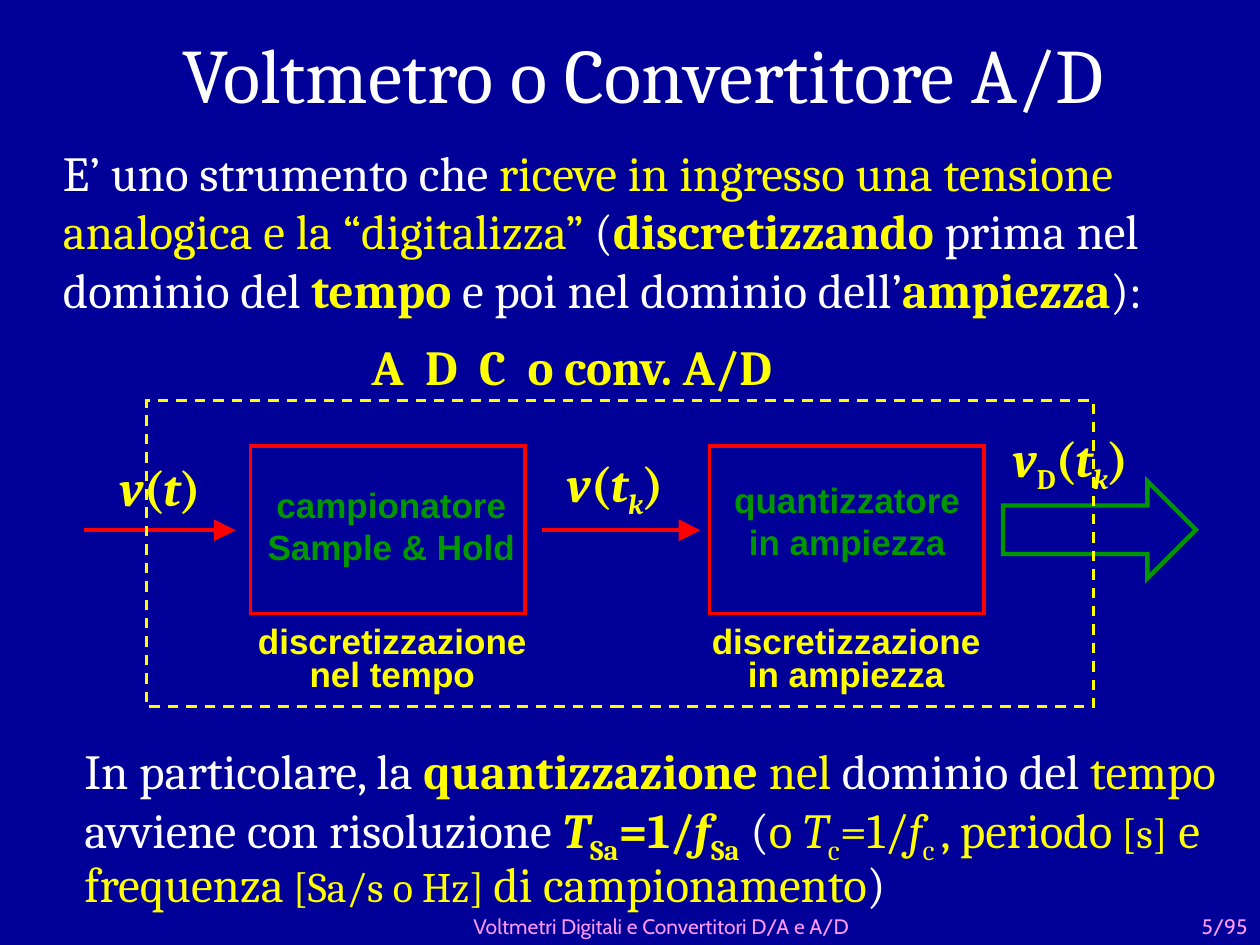
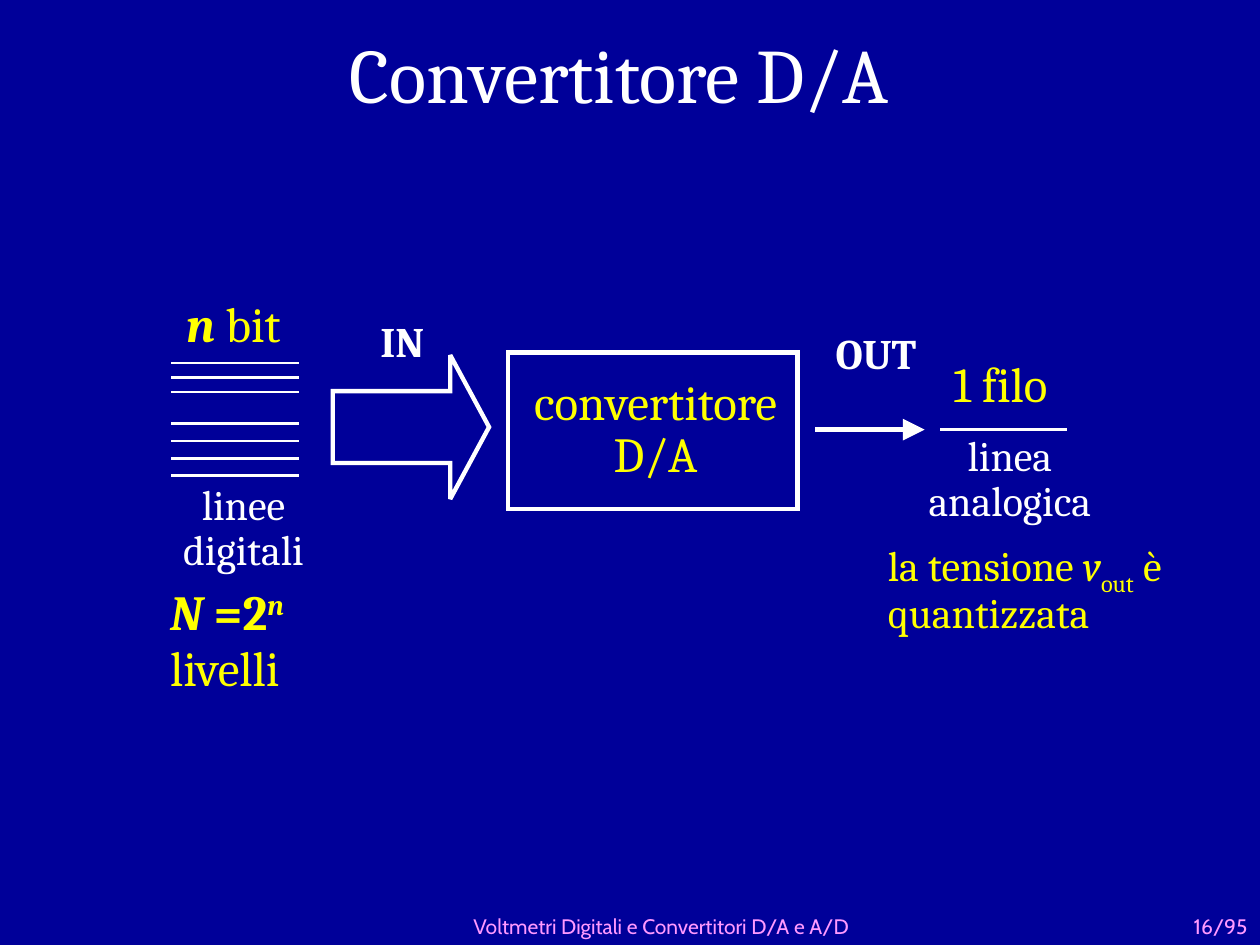
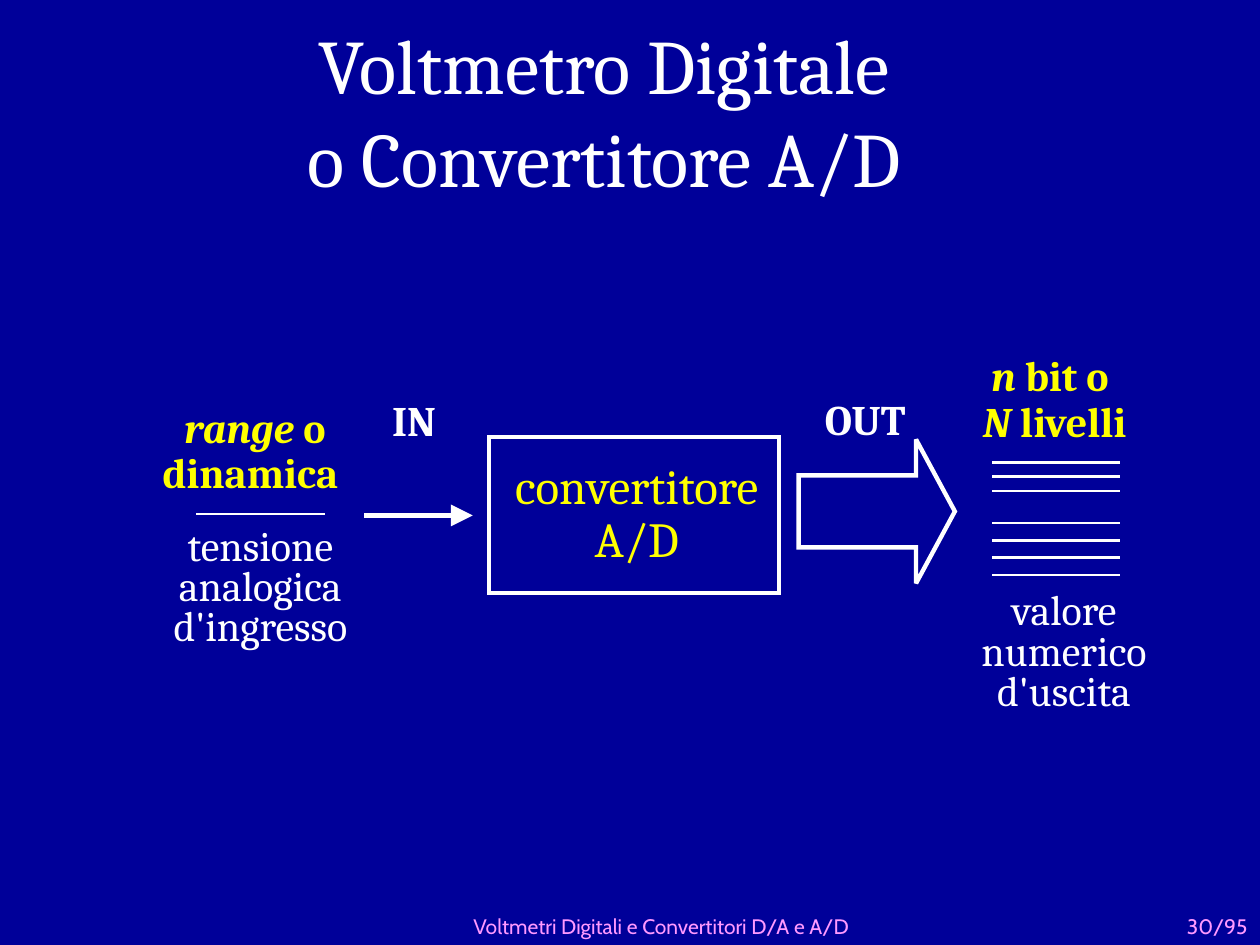
"""Builds three slides on digital voltmeters and A/D and D/A converters."""
from lxml.etree import SubElement
from pptx import Presentation
from pptx.dml.color import RGBColor
from pptx.enum.dml import MSO_LINE
from pptx.enum.shapes import MSO_CONNECTOR, MSO_SHAPE
from pptx.enum.text import MSO_ANCHOR, MSO_AUTO_SIZE, PP_ALIGN
from pptx.oxml.ns import qn
from pptx.util import Cm, Pt

COLORS = {
    "navy": "000099",
    "white": "FFFFFF",
    "yellow": "FFFF00",
    "red": "FF0000",
    "green": "009600",
    "pink": "FF99FF",
}
CENTER, LEFT, RIGHT = PP_ALIGN.CENTER, PP_ALIGN.LEFT, PP_ALIGN.RIGHT
BASELINES = {"_": "-25000", "^": "30000"}


def rgb(name):
    return RGBColor.from_string(COLORS[name])


class Deck:
    def __init__(self):
        self.prs = Presentation()
        self.prs.slide_width, self.prs.slide_height = Cm(25.4), Cm(19.05)
        fill = self.prs.slide_master.background.fill
        fill.solid()
        fill.fore_color.rgb = rgb("navy")
        self.s = None

    def slide(self, title, box, page):
        self.s = self.prs.slides.add_slide(self.prs.slide_layouts[5])
        sp = self.s.shapes.title
        sp.left, sp.top, sp.width, sp.height = map(Cm, box)
        tf = sp.text_frame
        tf.auto_size = MSO_AUTO_SIZE.NONE
        tf.vertical_anchor = MSO_ANCHOR.MIDDLE
        p = tf.paragraphs[0]
        p.text = title
        self.style(p, 44, "white", False, "Cambria", CENTER)
        small = dict(size=12, color="pink", font="Cabin", anchor=MSO_ANCHOR.BOTTOM)
        self.text((3.53, 18.49, 19.61, 0.56),
                  ["Voltmetri Digitali e Convertitori D/A e A/D"], align=CENTER, **small)
        self.text((23.09, 18.52, 2.31, 0.53), [f"{page}/95"], align=RIGHT, **small)

    def style(self, p, size, color, bold, font, align):
        p.alignment = align
        p.font.size = Pt(size)
        p.font.name = font
        p.font.bold = bold
        p.font.color.rgb = rgb(color)

    def run(self, p, text, flags=""):
        r = p.add_run()
        r.text = text
        if "w" in flags or "y" in flags:
            r.font.color.rgb = rgb("white" if "w" in flags else "yellow")
        if "b" in flags:
            r.font.bold = True
        if "i" in flags:
            r.font.italic = True
        if "s" in flags:
            r.font.size = Pt(24)
        for mark, shift in BASELINES.items():
            if mark in flags:
                r.font._element.set("baseline", shift)

    def text(self, box, paragraphs, size=28, color="yellow", bold=False, font="Cambria",
             align=LEFT, spacing=None, anchor=MSO_ANCHOR.TOP):
        tf = self.s.shapes.add_textbox(*map(Cm, box)).text_frame
        tf.word_wrap = True
        tf.vertical_anchor = anchor
        for i, runs in enumerate(paragraphs):
            p = tf.add_paragraph() if i else tf.paragraphs[0]
            self.style(p, size, color, bold, font, align)
            if spacing:
                p.line_spacing = spacing
            for args in [(runs,)] if isinstance(runs, str) else runs:
                self.run(p, *args)

    def label(self, box, paragraphs, color="white", bold=False, spacing=0.9):
        self.text(box, paragraphs, 24, color, bold, align=CENTER, spacing=spacing)

    def outline(self, kind, box, color, width, dash=None):
        sp = self.s.shapes.add_shape(kind, *map(Cm, box))
        sp.shadow.inherit = False
        sp.fill.background()
        sp.line.color.rgb = rgb(color)
        sp.line.width = Pt(width)
        if dash:
            sp.line.dash_style = dash
        SubElement(sp.line._get_or_add_ln(), qn("a:miter"), lim="800000")
        return sp

    def block_arrow(self, box, color, head):
        sp = self.outline(MSO_SHAPE.RIGHT_ARROW, box, color, 2.5)
        sp.adjustments[0], sp.adjustments[1] = 0.5, head

    def line(self, x1, x2, y, color="white", arrow=False):
        c = self.s.shapes.add_connector(MSO_CONNECTOR.STRAIGHT, Cm(x1), Cm(y), Cm(x2), Cm(y))
        c.line.color.rgb = rgb(color)
        c.line.width = Pt(2.5 if arrow else 1.5)
        if arrow:
            SubElement(c.line._get_or_add_ln(), qn("a:tailEnd"),
                       type="triangle", w="lg", len="lg")
        SubElement(c._element.spPr, qn("a:effectLst"))

    def digital_lines(self, x, y):
        offsets = [0.29 * k for k in range(3)] + [1.22 + 0.35 * k for k in range(4)]
        for offset in offsets:
            self.line(x, x + 2.57, y + offset)

    def converter(self, x, y, name):
        self.outline(MSO_SHAPE.RECTANGLE, (x, y, 5.84, 3.15), "white", 2.5)
        self.text((x + 0.03, y + 0.38, 5.89, 2.39), ["convertitore", name],
                  align=CENTER, spacing=0.9)


def adc_overview(d):
    d.slide("Voltmetro o Convertitore A/D", (1.3, 0, 23.34, 2.95), 5)
    d.text((1.02, 2.74, 23.88, 3.81), [[
        ("E’ uno strumento che ",),
        ("riceve in ingresso una tensione analogica e la “digitalizza”", "y"),
        (" (",), ("discretizzando", "yb"), (" prima nel dominio del ",), ("tempo", "yb"),
        (" e poi nel dominio dell’",), ("ampiezza", "yb"), ("):",)]], color="white")
    d.text((1.45, 14.94, 23.95, 3.51), [[
        ("In particolare, la ", "w"), ("quantizzazione ", "b"), ("nel",),
        (" dominio del ", "w"), ("tempo",), (" avviene con risoluzione ", "w"),
        ("T", "bi"), ("Sa", "b_"), ("=1/", "b"), ("f", "bi"), ("Sa", "b_"), (" (", "w"),
        ("o ",), ("T", "i"), ("c", "_"), ("=1/",), ("f", "i"), ("c ", "_"), (", periodo",),
        (" [s]", "s"), (" e frequenza",), (" [Sa/s o Hz] ", "s"), ("di campionamento",),
        (")", "w")]], spacing=0.9)

    stages = [
        (5.05, (5.11, 9.63), 4.76, ["campionatore", "Sample & Hold"],
         "discretizzazione nel tempo"),
        (14.3, (14.3, 9.53), 13.91, ["quantizzatore", "in ampiezza"],
         "discretizzazione in ampiezza"),
    ]
    sans = dict(size=20, bold=True, font="Arial", align=CENTER)
    for x, name_at, caption_x, name, caption in stages:
        d.outline(MSO_SHAPE.RECTANGLE, (x, 8.99, 5.54, 3.38), "red", 2)
        d.text((*name_at, 5.56, 1.96), name, color="green", **sans)
        d.text((caption_x, 12.52, 6.3, 1.63), [caption], spacing=0.8, **sans)

    d.line(1.7, 4.75, 10.69, "red", arrow=True)
    d.line(10.92, 14.12, 10.69, "red", arrow=True)
    d.block_arrow((20.22, 9.7, 3.89, 1.96), "green", 0.5)
    v, t, k = ("v", "i"), ("t", "i"), ("k", "i_")
    signals = [
        ((2.16, 9.09, 2.18, 1.45), [v, ("(",), t, (")",)]),
        ((11.18, 9.02, 2.69, 1.45), [v, ("(",), t, k, (")",)]),
        ((20.17, 8.51, 3.12, 1.45), [v, ("D", "_"), ("(",), t, k, (")",)]),
    ]
    for box, runs in signals:
        d.text(box, [runs], bold=True)
    d.outline(MSO_SHAPE.RECTANGLE, (2.95, 8.08, 19.1, 6.17), "yellow", 1.5, MSO_LINE.DASH)
    d.text((7.24, 6.65, 10.67, 1.45), ["A  D  C  o conv. A/D"], bold=True)


def dac(d):
    d.slide("Convertitore D/A", (1.3, 0, 22.38, 2.95), 16)
    d.converter(10.24, 7.11, "D/A")
    d.digital_lines(3.45, 7.32)
    d.label((2.79, 9.63, 4.24, 2.08), ["linee", "digitali"])
    d.line(18.95, 21.51, 8.66)
    d.label((18.24, 8.64, 4.24, 2.08), ["linea", "analogica"])
    d.line(16.43, 18.64, 8.66, arrow=True)
    d.label((15.54, 6.6, 4.24, 1.17), ["OUT"], bold=True)
    d.block_arrow((6.71, 7.16, 3.15, 2.9), "white", 0.27)
    d.label((5.99, 6.35, 4.24, 1.17), ["IN"], bold=True)
    d.text((3.51, 5.79, 2.79, 1.45), [[("n ", "bi"), ("bit",)]])
    d.text((3.18, 11.68, 3.3, 2.51),
           [[("N ", "bi"), ("=2", "b"), ("n", "bi^")], "livelli"], spacing=0.95)
    d.text((18.97, 7.01, 2.79, 1.45), ["1 filo"])
    d.text((17.65, 10.77, 6.32, 2.08),
           [[("la tensione ",), ("v", "i"), ("out", "_"), (" è quantizzata",)]],
           size=24, spacing=0.9)


def adc(d):
    d.slide("Voltmetro Digitale\no Convertitore A/D", (0.69, 0.13, 22.99, 4.19), 30)
    d.digital_lines(20, 9.32)
    d.label((19.33, 11.84, 4.24, 2.69), ["valore numerico", "d'uscita"], spacing=0.8)
    d.line(3.96, 6.55, 10.36)
    d.label((3, 10.54, 4.5, 2.69), ["tensione", "analogica", "d'ingresso"], spacing=0.8)
    d.converter(9.86, 8.81, "A/D")
    d.line(7.34, 9.53, 10.39, arrow=True)
    d.label((6.32, 7.95, 4.24, 1.17), ["IN "], bold=True)
    d.block_arrow((16.1, 8.86, 3.15, 2.9), "white", 0.27)
    d.label((15.32, 7.92, 4.24, 1.17), ["OUT"], bold=True)
    d.label((3.02, 8.08, 4.24, 2.08), [[("range", "i"), (" o dinamica ",)]], "yellow", True)
    d.label((19.23, 7.04, 4.06, 2.08),
            [[("n", "i"), (" bit o ",)], [("N", "i"), (" livelli",)]], "yellow", True)


def main():
    d = Deck()
    adc_overview(d)
    dac(d)
    adc(d)
    d.prs.save("out.pptx")


if __name__ == "__main__":
    main()
